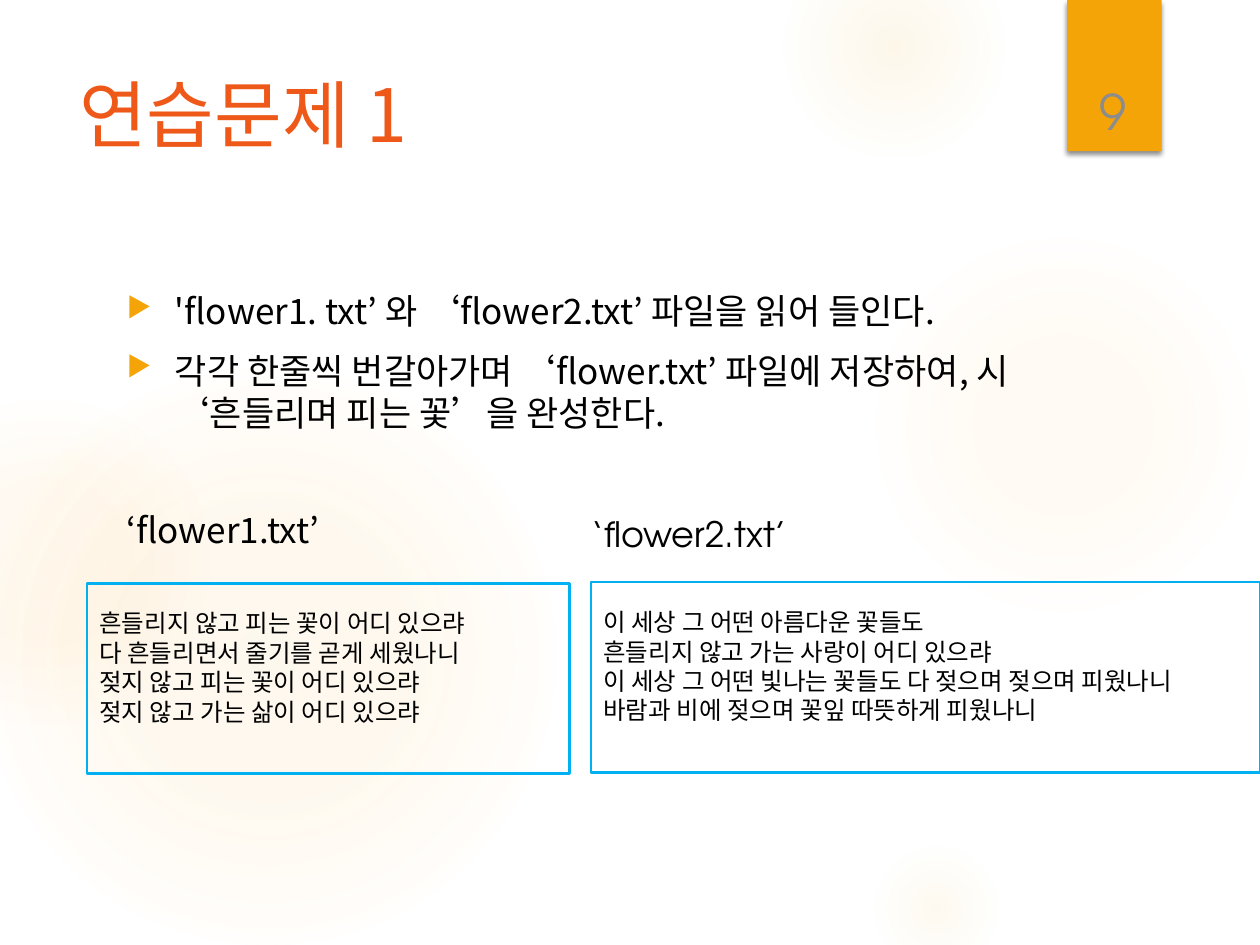
import pptx
import pptx.util
import pptx.dml.color
import pptx.enum.shapes
import pptx.enum.text
import pptx.oxml
import pptx.oxml.ns
from lxml import etree

Inches, Pt = pptx.util.Inches, pptx.util.Pt
RGBColor = pptx.dml.color.RGBColor
SHAPES = pptx.enum.shapes.MSO_SHAPE
ANCHOR = pptx.enum.text.MSO_ANCHOR
ALIGN = pptx.enum.text.PP_ALIGN

GLOW = RGBColor(0xFA, 0xC9, 0x6A)
AMBER = RGBColor(0xF5, 0xA4, 0x08)
ORANGE = RGBColor(0xEE, 0x58, 0x18)
BLUE = RGBColor(0x00, 0xB0, 0xF0)
GRAY = RGBColor(0x8C, 0x8C, 0x8C)
BLACK = RGBColor(0, 0, 0)
KOREAN = "Noto Sans CJK KR"
LATIN = "TeX Gyre Adventor"
NAMESPACE = pptx.oxml.ns.nsdecls("a")

# left, top, diameter, then (position %, opacity %) of each gradient stop
GLOWS = [
    (6.89, 1.83, 3.08, [(0, 7), (36, 6), (69, 0)]),
    (6.22, -0.5, 1.75, [(0, 14), (36, 7), (73, 0)]),
    (6.89, 6.67, 1.08, [(0, 10), (31, 5), (66, 0)]),
    (-0.17, 2.92, 4.58, [(0, 11), (36, 10), (75, 0)]),
    (-0.92, 3.17, 2.58, [(0, 8), (36, 8), (72, 0)]),
]
TASKS = [
    "'flower1. txt’ 와 ‘flower2.txt’ 파일을 읽어 들인다.",
    "각각 한줄씩 번갈아가며 ‘flower.txt’ 파일에 저장하여, 시 ‘흔들리며 피는 꽃’을 완성한다.",
]
FLOWER1 = [
    "흔들리지 않고 피는 꽃이 어디 있으랴",
    "다 흔들리면서 줄기를 곧게 세웠나니",
    "젖지 않고 피는 꽃이 어디 있으랴",
    "젖지 않고 가는 삶이 어디 있으랴",
]
FLOWER2 = [
    "이 세상 그 어떤 아름다운 꽃들도",
    "흔들리지 않고 가는 사랑이 어디 있으랴",
    "이 세상 그 어떤 빛나는 꽃들도 다 젖으며 젖으며 피웠나니",
    "바람과 비에 젖으며 꽃잎 따뜻하게 피웠나니",
]


def add_text(slide, box, lines, size, font=KOREAN, color=BLACK):
    frame = slide.shapes.add_textbox(*map(Inches, box)).text_frame
    frame.word_wrap = True
    frame.text = "\n".join(lines)
    for paragraph in frame.paragraphs:
        for run in paragraph.runs:
            run.font.size = Pt(size)
            run.font.name = font
            run.font.color.rgb = color
            east_asian = etree.SubElement(run.font._element, pptx.oxml.ns.qn("a:ea"))
            east_asian.set("typeface", KOREAN)
    return frame


def add_plain_shape(slide, kind, box):
    shape = slide.shapes.add_shape(kind, *map(Inches, box))
    shape.shadow.inherit = False
    return shape


def add_glow(slide, left, top, diameter, stops):
    """Draw a circle that fades from its centre to nothing."""
    circle = add_plain_shape(slide, SHAPES.OVAL, (left, top, diameter, diameter))
    circle.line.fill.background()
    stop_xml = "".join(
        f'<a:gs pos="{position * 1000}"><a:srgbClr val="{GLOW}">'
        f'<a:alpha val="{opacity * 1000}"/></a:srgbClr></a:gs>'
        for position, opacity in stops
    )
    gradient = pptx.oxml.parse_xml(
        f"<a:gradFill {NAMESPACE}><a:gsLst>{stop_xml}</a:gsLst>"
        '<a:path path="circle"><a:fillToRect l="50000" t="50000" r="50000" b="50000"/>'
        "</a:path></a:gradFill>"
    )
    circle._element.spPr.find(pptx.oxml.ns.qn("a:prstGeom")).addnext(gradient)


def add_page_tab(slide, box, number):
    left, top, width, height = box
    tab = add_plain_shape(slide, SHAPES.RECTANGLE, box)
    tab.fill.solid()
    tab.fill.fore_color.rgb = AMBER
    tab.line.fill.background()
    effects = tab._element.spPr.find(pptx.oxml.ns.qn("a:effectLst"))
    effects.append(pptx.oxml.parse_xml(
        f'<a:outerShdw {NAMESPACE} blurRad="{Pt(3)}" dist="{Pt(2)}" dir="5400000" '
        'rotWithShape="0"><a:srgbClr val="000000"><a:alpha val="45000"/></a:srgbClr>'
        "</a:outerShdw>"
    ))
    number_box = (left + 0.02, top + 0.32, width - 0.06, height - 0.36)
    frame = add_text(slide, number_box, [number], 28, LATIN, GRAY)
    frame.vertical_anchor = ANCHOR.BOTTOM
    frame.paragraphs[0].alignment = ALIGN.CENTER


def add_tasks(slide, box, tasks):
    frame = add_text(slide, box, tasks, 20)
    for index, paragraph in enumerate(frame.paragraphs):
        properties = paragraph._p.get_or_add_pPr()
        properties.set("marL", str(Inches(0.38)))
        properties.set("indent", str(-Inches(0.38)))
        for bullet in (
            f'<a:buClr {NAMESPACE}><a:srgbClr val="{AMBER}"/></a:buClr>',
            f'<a:buSzPct {NAMESPACE} val="80000"/>',
            f'<a:buChar {NAMESPACE} char="▶"/>',
        ):
            properties.append(pptx.oxml.parse_xml(bullet))
        if index:
            paragraph.space_before = Pt(10)


def add_poem(slide, box, lines):
    """Frame the lines of one poem file, starting a little below the top edge."""
    left, top, width, height = box
    add_text(slide, (left, top + 0.15, width, 1.04), lines, 14, LATIN)
    border = add_plain_shape(slide, SHAPES.RECTANGLE, box)
    border.fill.background()
    border.line.color.rgb = BLUE
    border.line.width = Pt(1.5)


def add_exercise_slide(deck):
    slide = deck.slides.add_slide(deck.slide_layouts[6])
    for glow in GLOWS:
        add_glow(slide, *glow)
    add_page_tab(slide, (8.47, 0, 0.75, 1.2), "9")
    add_text(slide, (0.53, 0.5, 7.72, 1.53), ["연습문제 1"], 42, KOREAN, ORANGE)
    add_tasks(slide, (0.91, 2.25, 7.34, 1.4), TASKS)
    add_text(slide, (0.91, 3.99, 3.6, 0.5), ["‘flower1.txt’"], 20)
    add_text(slide, (4.6, 4.02, 5.4, 0.59), ["‘flower2.txt’"], 20, LATIN)
    add_poem(slide, (0.69, 4.63, 3.83, 1.51), FLOWER1)
    add_poem(slide, (4.69, 4.62, 5.31, 1.51), FLOWER2)


def main():
    deck = pptx.Presentation()
    deck.slide_width = Inches(10)
    deck.slide_height = Inches(7.5)
    add_exercise_slide(deck)
    deck.save("out.pptx")


if __name__ == "__main__":
    main()
